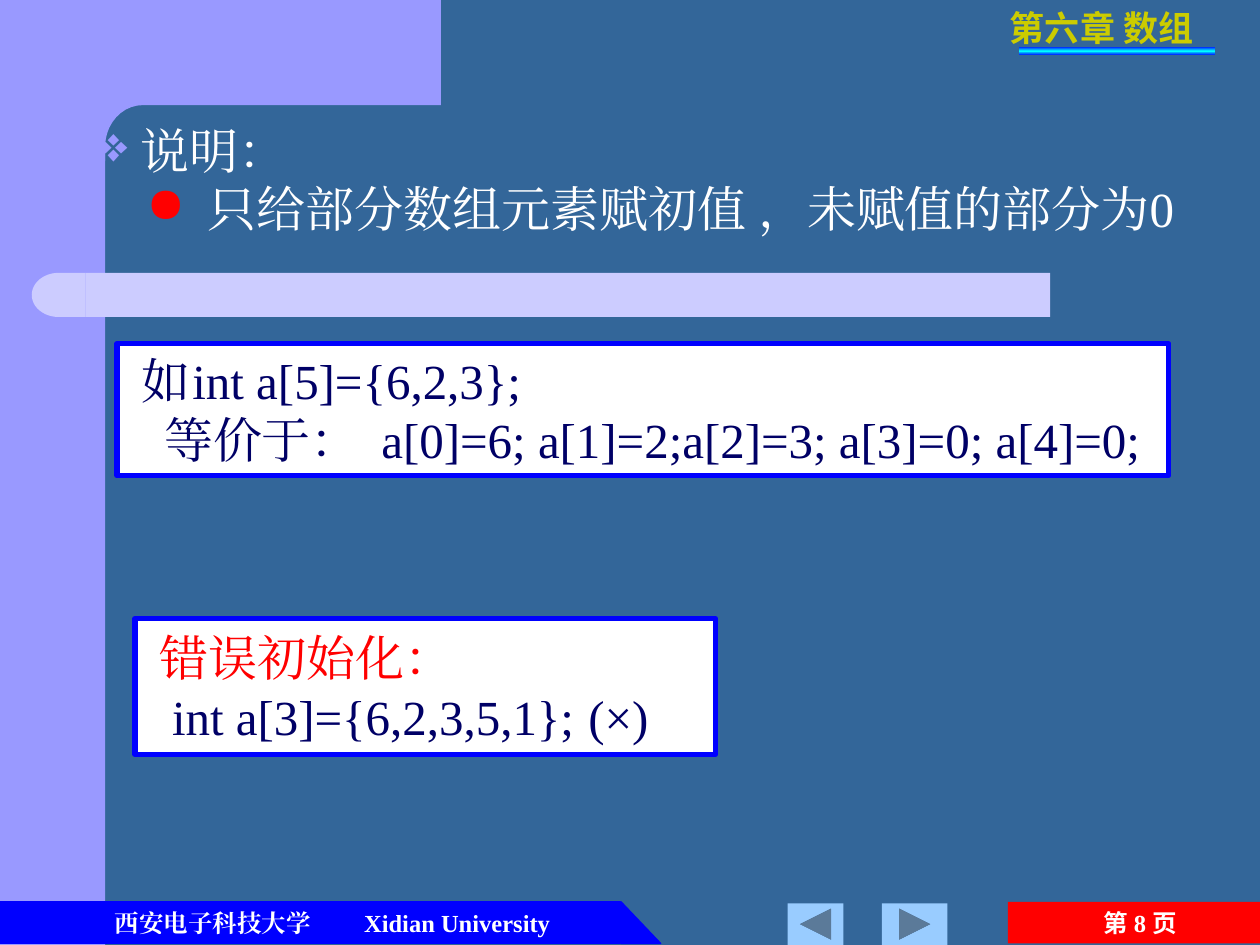
import copy
import math

from lxml import etree
from pptx import Presentation
from pptx import util as u
from pptx.dml import color
from pptx.enum import shapes, text
from pptx.oxml import ns

COLORS = {
    "background": "336699", "panel": "9999FF", "bar": "CCCCFF",
    "blue": "0000FF", "cyan": "00FFFF", "red": "FF0000",
    "button": "99CCFF", "white": "FFFFFF", "heading": "CCCC00",
    "code": "000066",
}
KINDS = shapes.MSO_SHAPE
SERIF = "Times New Roman"
HAN = "Noto Sans CJK SC"


def rgb(name):
    return color.RGBColor.from_string(COLORS[name])


def finish(shape, fill, line=None, width=0.75):
    shape.shadow.inherit = False
    shape.fill.solid()
    shape.fill.fore_color.rgb = rgb(fill)
    if line:
        shape.line.color.rgb = rgb(line)
        shape.line.width = u.Pt(width)
    else:
        shape.line.fill.background()


def add_block(slide, kind, box, fill, line=None, width=0.75):
    shape = slide.shapes.add_shape(kind, *map(u.Cm, box))
    finish(shape, fill, line, width)
    return shape


def add_text_box(slide, box):
    return slide.shapes.add_textbox(*map(u.Cm, box))


def set_frame(shape, anchor):
    formats = {
        "word_wrap": True, "vertical_anchor": anchor,
        "margin_left": u.Cm(0.25), "margin_right": u.Cm(0),
        "margin_top": u.Cm(0.13), "margin_bottom": u.Cm(0.13),
    }
    for name, value in formats.items():
        setattr(shape.text_frame, name, value)


def add_run(paragraph, words, font=SERIF, size=28, fill="white", bold=False):
    run = paragraph.add_run()
    run.text = words
    formats = {"name": font, "size": u.Pt(size), "bold": bold}
    for name, value in formats.items():
        setattr(run.font, name, value)
    run.font.color.rgb = rgb(fill)
    east_asian = etree.SubElement(run.font._element, ns.qn("a:ea"))
    east_asian.set("typeface", font)


def set_indent(paragraph, left=0, first=0, bullet=None, tab=None):
    properties = paragraph._p.get_or_add_pPr()
    properties.set("marL", str(u.Cm(left)))
    properties.set("indent", str(u.Cm(first)))
    if bullet:
        symbol, fill = bullet
        holder = etree.SubElement(properties, ns.qn("a:buClr"))
        etree.SubElement(holder, ns.qn("a:srgbClr")).set("val", COLORS[fill])
        etree.SubElement(properties, ns.qn("a:buChar")).set("char", symbol)
    if tab:
        stops = etree.SubElement(properties, ns.qn("a:tabLst"))
        stop = etree.SubElement(stops, ns.qn("a:tab"))
        stop.set("pos", str(u.Cm(tab)))
        stop.set("algn", "l")


def paragraphs_for(shape, lines):
    frame = shape.text_frame
    for index, line in enumerate(lines):
        paragraph = frame.add_paragraph() if index else frame.paragraphs[0]
        paragraph.alignment = text.PP_ALIGN.LEFT
        yield paragraph, line


def draw_side_panel(slide, box):
    left, top, width, height = box
    add_block(slide, KINDS.RECTANGLE, (left, top, 2.12, height), "panel")
    radius_x, radius_y = 0.76, 0.84
    edge_x, edge_y = left + 2.12, top + 2.12
    angles = [math.radians(9 * step) for step in range(11)]
    curve = [(edge_x + radius_x * (1 - math.sin(angle)),
              edge_y + radius_y * (1 - math.cos(angle))) for angle in angles]
    points = [(left + width, edge_y), *curve,
              (edge_x, top + 3.25), (left + 1.27, top + 3.25),
              (left + 1.27, top)]
    builder = slide.shapes.build_freeform(u.Cm(left + width), u.Cm(top))
    builder.add_line_segments([(u.Cm(x), u.Cm(y)) for x, y in points])
    finish(builder.convert_to_shape(), "panel")


def draw_divider(slide, box):
    left, top, width, height = box
    cap = 1.08
    bar = add_block(slide, KINDS.ROUNDED_RECTANGLE,
                    (left + cap, top, width - cap, height), "bar")
    bar.adjustments[0] = 0
    end = add_block(slide, KINDS.FLOWCHART_DELAY, (left, top, cap, height), "bar")
    end.rotation = 180


def draw_footer(slide, box):
    left, top, width, height = box
    add_block(slide, KINDS.RECTANGLE, (left, top, 12.5, height), "blue", "blue")
    add_block(slide, KINDS.RIGHT_TRIANGLE,
              (left + 12.52, top, 0.8, height), "blue", "blue")
    school = add_text_box(slide, (left + 0.74, top, 11.25, height))
    set_frame(school, text.MSO_ANCHOR.MIDDLE)
    paragraph = school.text_frame.paragraphs[0]
    set_indent(paragraph, first=1.32, tab=5.64)
    add_run(paragraph, "西安电子科技大学\tXidian University", size=14, bold=True)

    page = add_block(slide, KINDS.RECTANGLE,
                     (left + width - 5.08, top, 5.08, height), "red")
    set_frame(page, text.MSO_ANCHOR.MIDDLE)
    paragraph = page.text_frame.paragraphs[0]
    paragraph.alignment = text.PP_ALIGN.CENTER
    for words, font in (("第 ", HAN), ("8 ", SERIF), ("页", HAN)):
        add_run(paragraph, words, font, 14, bold=True)

    for offset, button_width, rotation in ((17.78, 1.32, 0), (15.88, 1.12, 180)):
        button = add_block(slide, KINDS.ACTION_BUTTON_FORWARD_OR_NEXT,
                           (left + offset, top + 0.03, button_width, height),
                           "button")
        button.rotation = rotation


def draw_chapter(slide, box):
    left, top, width, height = box
    chapter = add_text_box(slide, (left, top, width, 1.09))
    set_frame(chapter, text.MSO_ANCHOR.MIDDLE)
    add_run(chapter.text_frame.paragraphs[0], "第六章 数组", HAN, 20, "heading", True)
    rule = add_block(slide, KINDS.RECTANGLE,
                     (left + 0.43, top + height - 0.18, 3.96, 0.18), "blue")
    rule.fill.gradient()
    rule.fill.gradient_angle = 90
    stops = rule.fill.gradient_stops
    for stop, name in zip(stops, ("blue", "cyan")):
        stop.color.rgb = rgb(name)
    stops[1].position = 0.5
    first = rule._element.spPr.find(".//" + ns.qn("a:gs"))
    last = copy.deepcopy(first)
    last.set("pos", "100000")
    first.getparent().append(last)


def draw_explanation(slide, box):
    shape = add_text_box(slide, box)
    set_frame(shape, text.MSO_ANCHOR.TOP)
    lines = (
        ("说明：", 0.9, -0.82, ("❖", "panel")),
        ("只给部分数组元素赋初值 ，未赋值的部分为0", 2.26, -1.24, ("●", "red")),
    )
    for paragraph, (words, indent, first, bullet) in paragraphs_for(shape, lines):
        set_indent(paragraph, indent, first, bullet)
        add_run(paragraph, words)


def draw_example(slide, box, lines):
    shape = add_block(slide, KINDS.RECTANGLE, box, "white", "blue", 3)
    set_frame(shape, text.MSO_ANCHOR.MIDDLE)
    for paragraph, (words, first, tab, fill) in paragraphs_for(shape, lines):
        set_indent(paragraph, first=first, tab=tab)
        add_run(paragraph, words, fill=fill)


def main():
    presentation = Presentation()
    presentation.slide_width, presentation.slide_height = u.Cm(25.4), u.Cm(19.05)
    slide = presentation.slides.add_slide(presentation.slide_layouts[6])
    slide.background.fill.solid()
    slide.background.fill.fore_color.rgb = rgb("background")
    draw_side_panel(slide, (0, 0, 8.89, 19.05))
    draw_divider(slide, (0.64, 5.5, 20.53, 0.89))
    draw_footer(slide, (0, 18.18, 25.4, 0.84))
    draw_chapter(slide, (20.11, 0, 4.6, 1.12))
    draw_explanation(slide, (1.68, 2.29, 22.86, 3.5))
    draw_example(slide, (2.36, 6.93, 21.2, 2.66), (
        ("如\tint a[5]={6,2,3};", 0.25, 2.36, "code"),
        ("等价于：\ta[0]=6; a[1]=2;a[2]=3; a[3]=0; a[4]=0;", 0.7, 5.32, "code"),
    ))
    draw_example(slide, (2.72, 12.47, 11.7, 2.74), (
        ("错误初始化：", 0.25, None, "red"),
        ("int a[3]={6,2,3,5,1};\t(×)", 0.5, 9.84, "code"),
    ))
    presentation.save("out.pptx")


if __name__ == "__main__":
    main()
